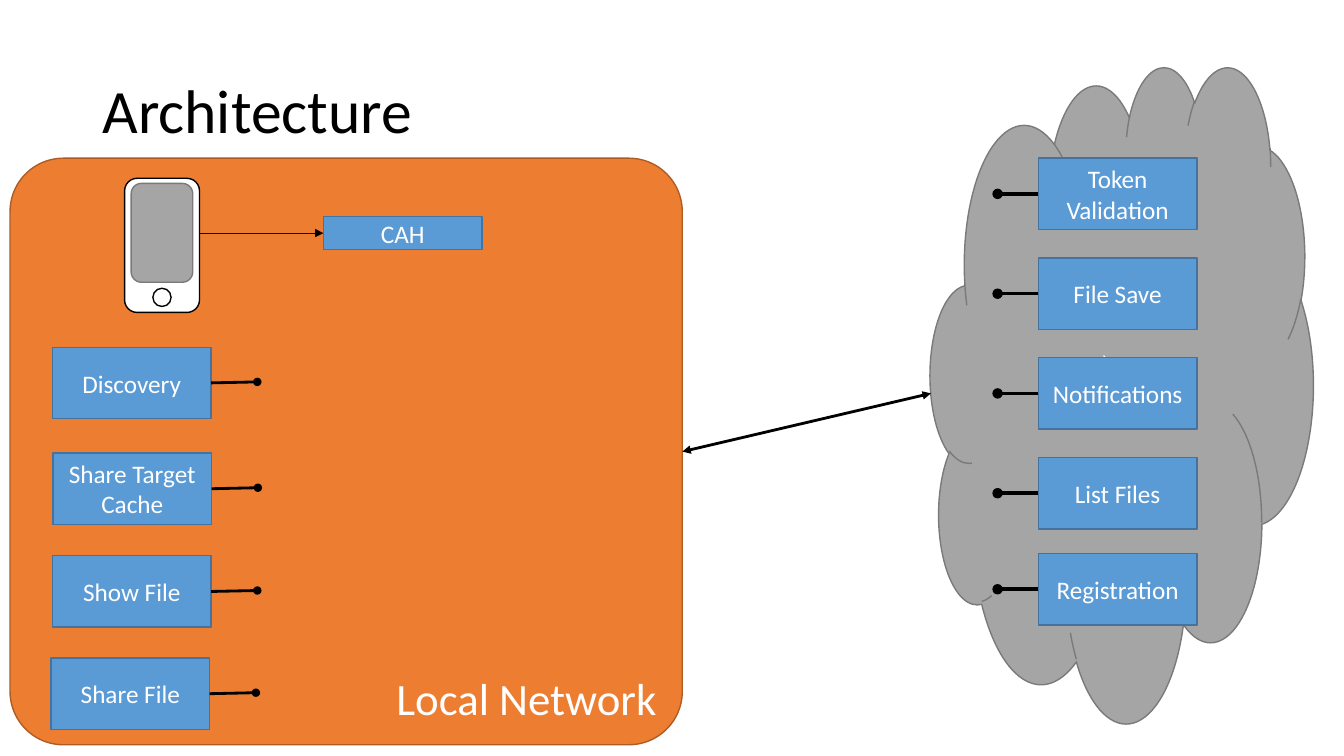
from lxml import etree
from pptx import Presentation
from pptx.dml.color import RGBColor
from pptx.enum.shapes import MSO_CONNECTOR, MSO_SHAPE
from pptx.enum.text import MSO_ANCHOR, PP_ALIGN
from pptx.oxml.ns import qn
from pptx.util import Pt

RECT = MSO_SHAPE.RECTANGLE
ROUND = MSO_SHAPE.ROUNDED_RECTANGLE
OVAL = MSO_SHAPE.OVAL
CLOUD = MSO_SHAPE.CLOUD
LINE = MSO_CONNECTOR.STRAIGHT
LEFT, MID, RIGHT = PP_ALIGN.LEFT, PP_ALIGN.CENTER, PP_ALIGN.RIGHT
CENTER, BOTTOM = MSO_ANCHOR.MIDDLE, MSO_ANCHOR.BOTTOM

HEX = {
    "black": "000000", "white": "FFFFFF",
    "blue": "5B9BD5", "navy": "43739E",
    "gray": "A5A5A5", "slate": "7A7A7A",
    "orange": "ED7D31", "rust": "AF5C24",
}
COLOR = {name: RGBColor.from_string(code) for name, code in HEX.items()}


def add_box(group, kind, x, y, w, h, fill, edge, text="", size=18,
            align=MID, anchor=CENTER):
    box = group.shapes.add_shape(kind, Pt(x), Pt(y), Pt(w), Pt(h))
    box.shadow.inherit = False
    box.fill.solid()
    box.fill.fore_color.rgb = COLOR[fill]
    box.line.color.rgb = COLOR[edge]
    box.line.width = Pt(1)
    if text:
        frame = box.text_frame
        frame.text = text
        frame.word_wrap = True
        frame.vertical_anchor = anchor
        para = frame.paragraphs[0]
        para.alignment = align
        para.font.size = Pt(size)
        para.font.name = "Calibri"
        para.font.color.rgb = COLOR["white"]
    return box


def add_link(group, x1, y1, x2, y2, width, **ends):
    link = group.shapes.add_connector(LINE, Pt(x1), Pt(y1), Pt(x2), Pt(y2))
    link.line.color.rgb = COLOR["black"]
    link.line.width = Pt(width)
    stroke = link.line._get_or_add_ln()
    for end, kind in ends.items():
        etree.SubElement(stroke, qn(f"a:{end}"), type=kind)
    etree.SubElement(link._element.spPr, qn("a:effectLst"))


deck = Presentation()
deck.slide_width, deck.slide_height = Pt(960), Pt(540)
slide = deck.slides.add_slide(deck.slide_layouts[5])

title = slide.shapes.title
title.left, title.top, title.width, title.height = Pt(66), Pt(28.75), Pt(828), Pt(104.4)
title.text_frame.text = "Architecture"
title.text_frame.vertical_anchor = CENTER
head = title.text_frame.paragraphs[0]
head.alignment = LEFT
head.line_spacing = 0.9
head.font.size = Pt(44)
head.font.name = "Calibri"
head.font.color.rgb = COLOR["black"]

box_w, box_h = 113.4, 51

cloud = slide.shapes.add_group_shape()
sky = add_box(cloud, CLOUD, 664.5, 46.8, 273.6, 468.7, "gray", "slate", "\\")
sky.text_frame.margin_bottom = Pt(25)
tops = [113, 184.3, 255.5, 326.8, 395.4]
names = ["Token Validation", "File Save", "Notifications", "List Files", "Registration"]
for y, name in zip(tops, names):
    add_box(cloud, RECT, 741.6, y, box_w, box_h, "blue", "navy", name)
    add_link(cloud, 741.6, y + box_h / 2, 712.6, y + box_h / 2, 2.5, tailEnd="oval")

local = slide.shapes.add_group_shape()
area = add_box(local, ROUND, 7.2, 113, 480.2, 419, "orange", "rust",
               "Local Network", 32, RIGHT, BOTTOM)
area.adjustments[0] = 0.091
add_box(local, ROUND, 89, 127.4, 53.5, 95.8, "white", "black")
add_box(local, OVAL, 109.2, 205.9, 13, 13, "white", "black")
add_box(local, ROUND, 93.7, 131, 44, 70.6, "gray", "slate")
add_box(local, RECT, 231, 154.6, box_w, 23.8, "blue", "navy", "CAH")
add_link(local, 142.5, 166.5, 231, 166.5, 0.5, tailEnd="triangle")
stack = [
    (37.4, 248, "Discovery"),
    (37.8, 323.6, "Share Target Cache"),
    (37.4, 397, "Show File"),
    (36.4, 470, "Share File"),
]
for x, y, name in stack:
    add_box(local, RECT, x, y, box_w, box_h, "blue", "navy", name)
    edge, mid = x + box_w, y + box_h / 2
    add_link(local, edge, mid, edge + 33, mid - 0.7, 2, tailEnd="oval")

add_link(slide, 487.4, 322.6, 665, 281, 2, headEnd="triangle", tailEnd="triangle")

deck.save("out.pptx")
